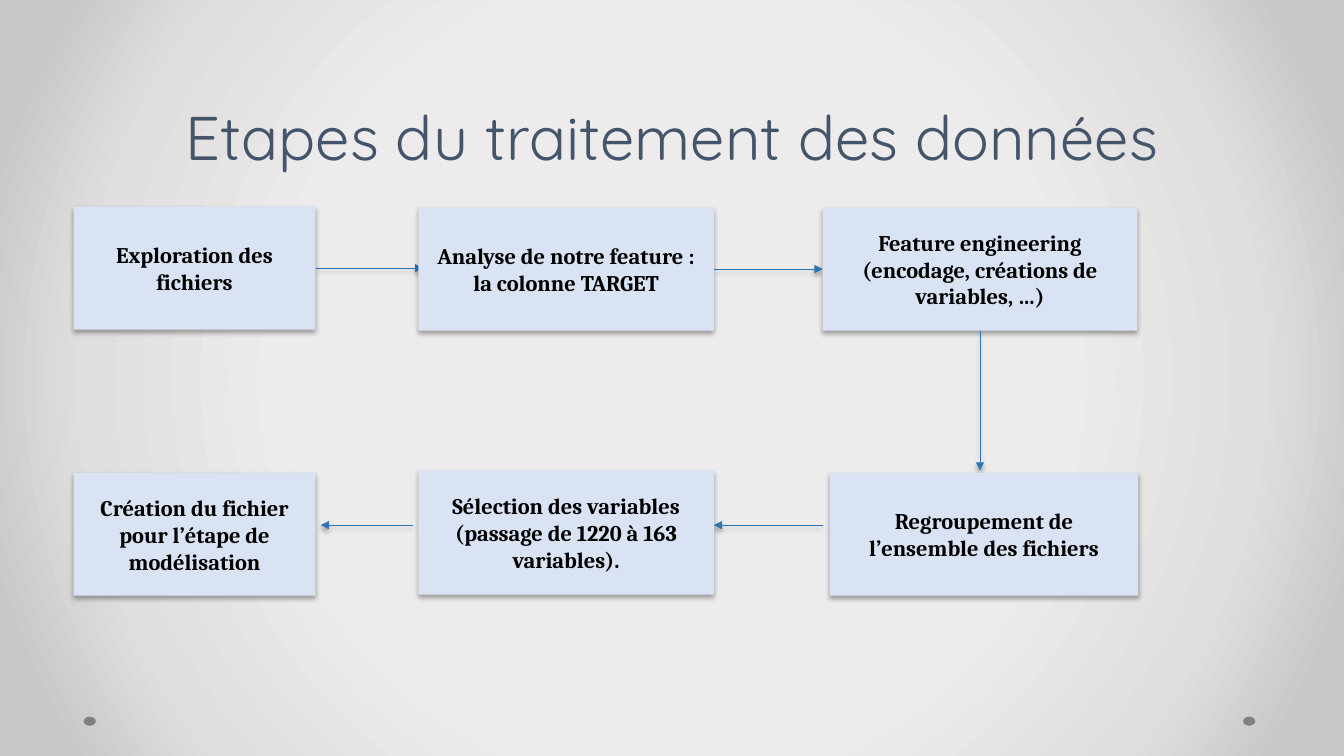
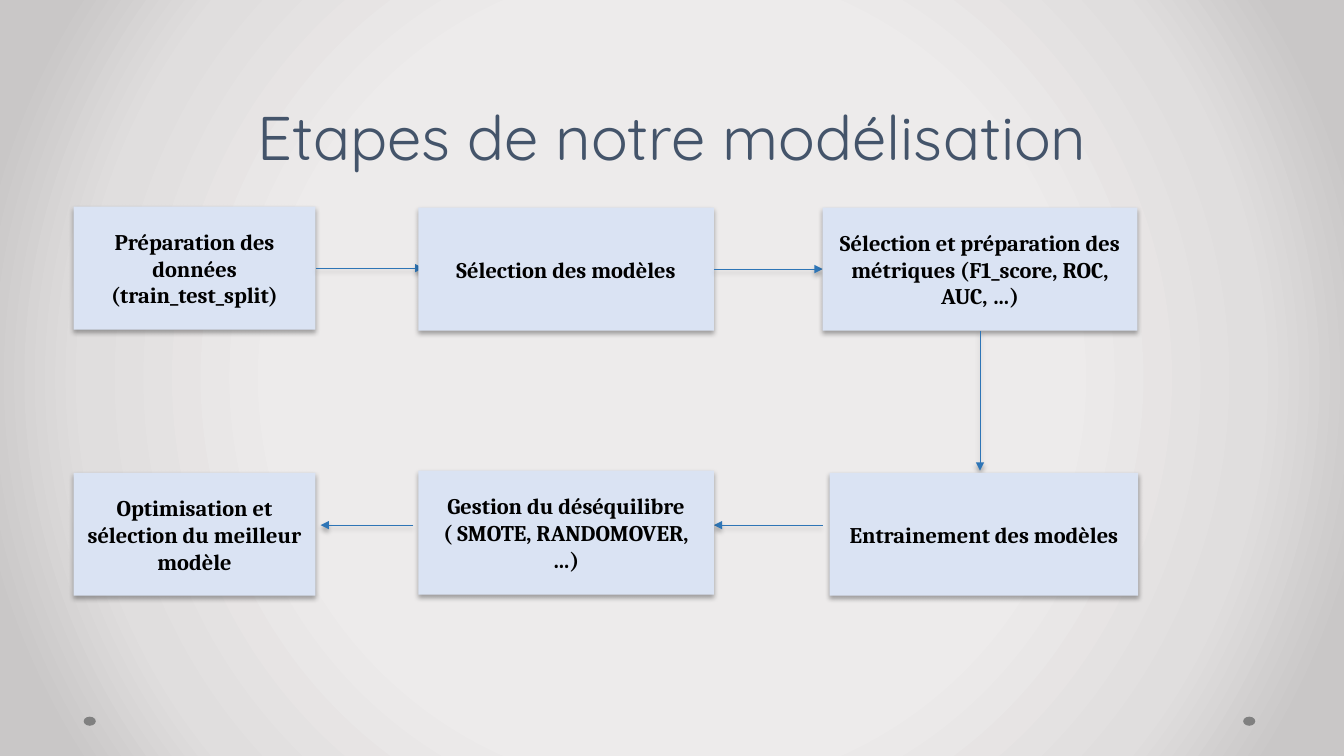
import pptx
import pptx.dml.color
import pptx.enum.shapes
import pptx.enum.text
import pptx.oxml
import pptx.oxml.ns
import pptx.util

Inches = pptx.util.Inches
Pt = pptx.util.Pt
SHAPE = pptx.enum.shapes.MSO_SHAPE
ANCHOR = pptx.enum.text.MSO_ANCHOR

FLOWS = [
    ("Etapes du traitement des données", [
        "Exploration des fichiers",
        "Analyse de notre feature : la colonne TARGET",
        "Feature engineering (encodage, créations de variables, …)",
        "Regroupement de l’ensemble des fichiers",
        "Sélection des variables (passage de 1220 à 163 variables).",
        "Création du fichier pour l’étape de modélisation",
    ]),
    ("Etapes de notre modélisation", [
        "Préparation des données (train_test_split)",
        "Sélection des modèles",
        "Sélection et préparation des métriques (F1_score, ROC, AUC, …)",
        "Entrainement des modèles",
        "Gestion du déséquilibre ( SMOTE, RANDOMOVER, …)",
        "Optimisation et sélection du meilleur modèle",
    ]),
]

# Left, top, width, height of each step, in reading order of the flow
STEP_BOXES = [
    (0.73, 2.05, 2.4, 1.22), (4.15, 2.06, 2.93, 1.22), (8.16, 2.06, 3.12, 1.22),
    (8.23, 4.69, 3.06, 1.22), (4.15, 4.67, 2.93, 1.23), (0.73, 4.69, 2.4, 1.22),
]
# Start, end, then the sides joined on the step before and the step after
ARROWS = [
    ((3.13, 2.66), (4.2, 2.66), 3, None),
    ((7.08, 2.66), (8.16, 2.66), 3, 1),
    ((9.72, 3.28), (9.72, 4.67), 2, None),
    ((8.16, 5.21), (7.08, 5.21), None, None),
    ((4.1, 5.21), (3.18, 5.21), None, None),
]
TITLE_BOX = (1.42, 0.54, 10.5, 1.22)
DOT_BOXES = [(12.33, 7.11, 0.12, 0.09), (0.83, 7.11, 0.12, 0.09)]

BACKGROUND_STOPS = [(50, "EDEBEB"), (76, "E0DEDE"), (92, "C9C7C7")]
TITLE_COLOR, STEP_COLOR, TEXT_COLOR = "44546A", "DAE3F3", "000000"
ARROW_COLOR, DOT_COLOR = "2E75B6", "808080"


def rgb(color):
    return pptx.dml.color.RGBColor.from_string(color)


def inches(values):
    return [Inches(value) for value in values]


def xml(markup):
    head, rest = markup.split(">", 1)
    return pptx.oxml.parse_xml(f'{head} {pptx.oxml.ns.nsdecls("a")}>{rest}')


def set_background(master):
    master.background.fill.solid()
    solid = master.element.find(".//" + pptx.oxml.ns.qn("p:bgPr"))[0]
    stops = "".join(
        f'<a:gs pos="{position * 1000}"><a:srgbClr val="{color}"/></a:gs>'
        for position, color in BACKGROUND_STOPS)
    solid.getparent().replace(solid, xml(
        f'<a:gradFill rotWithShape="1"><a:gsLst>{stops}</a:gsLst><a:path path="circle">'
        '<a:fillToRect l="50000" t="50000" r="50000" b="50000"/></a:path></a:gradFill>'))


def cast_shadow(shape):
    """Add the soft shadow below; call it once fill and line are set."""
    shape.element.spPr.append(xml(
        f'<a:effectLst><a:outerShdw blurRad="{Pt(3.5)}" dist="{Pt(2.2)}" dir="5400000" '
        'rotWithShape="0"><a:srgbClr val="000000"><a:alpha val="32000"/></a:srgbClr>'
        '</a:outerShdw></a:effectLst>'))


def write(shape, text, *, font, size, color, anchor, bold=False, spacing=None):
    frame = shape.text_frame
    frame.word_wrap = True
    frame.vertical_anchor = anchor
    paragraph = frame.paragraphs[0]
    paragraph.alignment = pptx.enum.text.PP_ALIGN.CENTER
    if spacing:
        paragraph.line_spacing = Pt(spacing)
    run = paragraph.add_run()
    run.text = text
    run.font.name = font
    run.font.size = Pt(size)
    run.font.bold = bold
    run.font.color.rgb = rgb(color)


def add_filled(slide, preset, box, color):
    shape = slide.shapes.add_shape(preset, *inches(box))
    shape.fill.solid()
    shape.fill.fore_color.rgb = rgb(color)
    shape.line.fill.background()
    return shape


def add_step(slide, box, text):
    step = add_filled(slide, SHAPE.RECTANGLE, box, STEP_COLOR)
    cast_shadow(step)
    write(step, text, font="Cambria", size=16, color=TEXT_COLOR,
          anchor=ANCHOR.MIDDLE, bold=True)
    return step


def add_arrow(slide, start, end):
    arrow = slide.shapes.add_connector(
        pptx.enum.shapes.MSO_CONNECTOR.STRAIGHT, *inches(start + end))
    arrow.line.color.rgb = rgb(ARROW_COLOR)
    arrow.line.width = Pt(0.5)
    arrow.line._get_or_add_ln().append(xml('<a:tailEnd type="triangle"></a:tailEnd>'))
    cast_shadow(arrow)
    return arrow


def add_flow(slide, texts):
    """Alternate steps and arrows, so that each step lies over the arrow it receives."""
    steps, arrows = [], []
    for index, (box, text) in enumerate(zip(STEP_BOXES, texts)):
        steps.append(add_step(slide, box, text))
        if index < len(ARROWS):
            arrows.append(add_arrow(slide, *ARROWS[index][:2]))
    for index, (arrow, (_, _, side_before, side_after)) in enumerate(zip(arrows, ARROWS)):
        if side_before is not None:
            arrow.begin_connect(steps[index], side_before)
        if side_after is not None:
            arrow.end_connect(steps[index + 1], side_after)


def add_slide(deck, title, texts):
    slide = deck.slides.add_slide(deck.slide_layouts[6])
    for box in DOT_BOXES:
        add_filled(slide, SHAPE.OVAL, box, DOT_COLOR).shadow.inherit = False
    heading = slide.shapes.add_textbox(*inches(TITLE_BOX))
    write(heading, title, font="Quicksand", size=44, color=TITLE_COLOR,
          anchor=ANCHOR.BOTTOM, spacing=48)
    add_flow(slide, texts)


def main():
    deck = pptx.Presentation()
    deck.slide_width, deck.slide_height = inches((13.33, 7.5))
    set_background(deck.slide_master)
    for title, texts in FLOWS:
        add_slide(deck, title, texts)
    deck.save("out.pptx")


if __name__ == "__main__":
    main()
